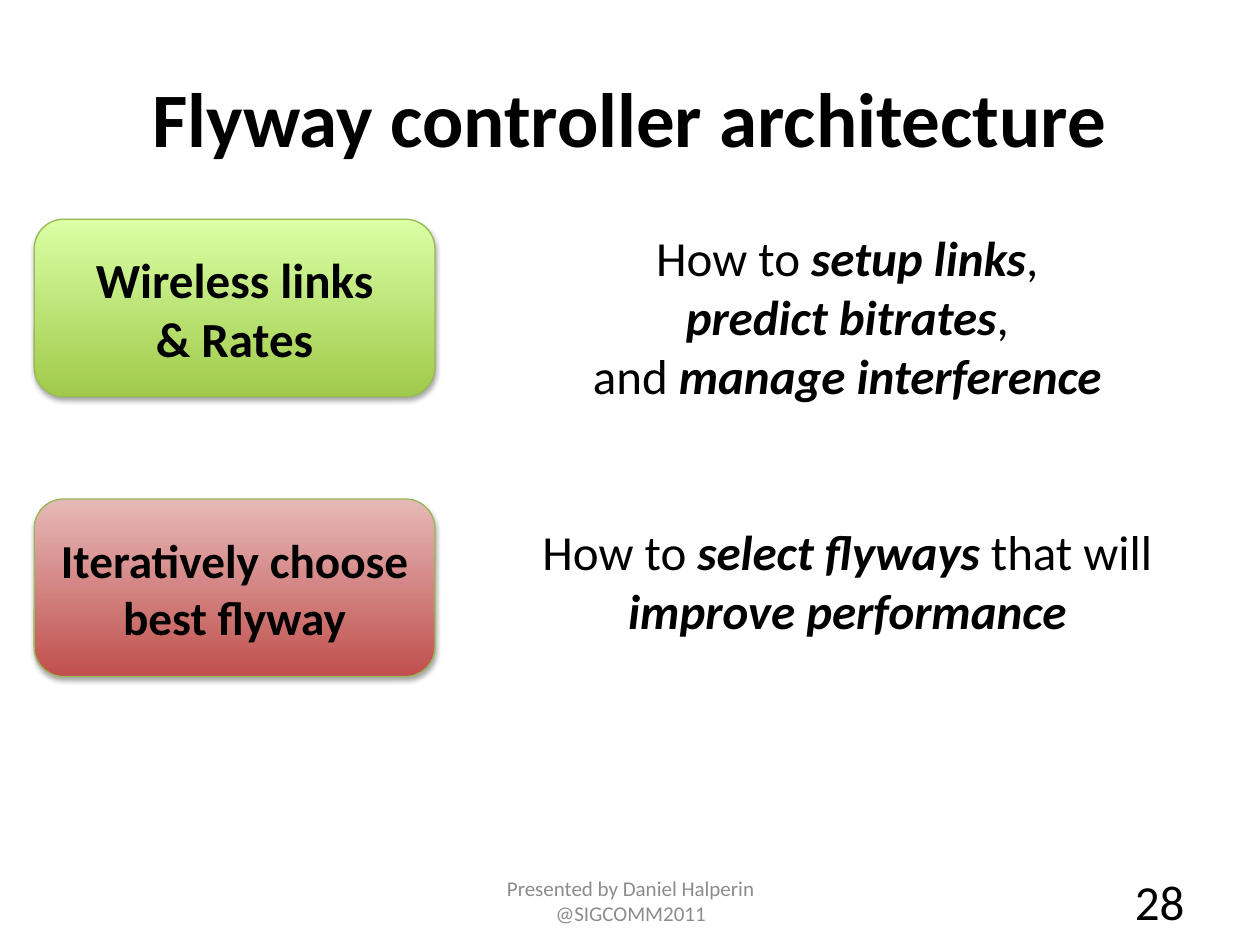
from lxml import etree
from pptx import Presentation
from pptx.dml.color import RGBColor
from pptx.enum.shapes import MSO_SHAPE as SHAPE
from pptx.enum.text import MSO_ANCHOR as ANCHOR, PP_ALIGN as ALIGN
from pptx.oxml.ns import nsdecls
from pptx.util import Cm, Pt

BLACK = RGBColor(0, 0, 0)
GREY = RGBColor(0x8C, 0x8C, 0x8C)
EDGE = RGBColor(0x98, 0xB9, 0x55)
GREENS = RGBColor(0xA0, 0xCA, 0x4A), RGBColor(0xDA, 0xFF, 0xA5)
REDS = RGBColor(0xC0, 0x50, 0x4D), RGBColor(0xE6, 0xB9, 0xB8)

SHADOW = (
    f'<a:effectLst {nsdecls("a")}>'
    '<a:outerShdw blurRad="39370" dist="22860" dir="5400000" rotWithShape="0">'
    '<a:srgbClr val="000000"><a:alpha val="35000"/></a:srgbClr>'
    '</a:outerShdw></a:effectLst>'
)

STEPS = [
    (["Wireless links", "& Rates"], 28, GREENS),
    (["Iteratively choose best flyway"], 27, REDS),
]
QUESTIONS = [
    [[("How to ", False), ("setup links", True), (",", False)],
     [("predict bitrates", True), (",", False)],
     [("and ", False), ("manage interference", True)]],
    [[("How to ", False), ("select flyways ", True), ("that will ", False),
      ("improve performance", True)]],
]


def style(p, size, color=BLACK, bold=None, align=ALIGN.CENTER):
    """Set the alignment and font of a paragraph."""
    p.alignment = align
    p.font.name = "Calibri"
    p.font.size = Pt(size)
    p.font.bold = bold
    p.font.color.rgb = color


def add_frame(s, left, top, width, height, anchor=ANCHOR.MIDDLE):
    """Add a wrapping text box and return its text frame."""
    tf = s.shapes.add_textbox(Cm(left), Cm(top), Cm(width), Cm(height)).text_frame
    tf.word_wrap = True
    tf.vertical_anchor = anchor
    return tf


def add_label(s, box, text, size, **font):
    """Add a one-paragraph text box."""
    p = add_frame(s, *box).paragraphs[0]
    p.text = text
    style(p, size, **font)


def add_step(s, box, lines, size, colors):
    """Add a rounded gradient box with a soft shadow."""
    sp = s.shapes.add_shape(SHAPE.ROUNDED_RECTANGLE, *map(Cm, box))
    sp.fill.gradient()
    sp.fill.gradient_angle = 90
    for stop, color in zip(sp.fill.gradient_stops, colors):
        stop.color.rgb = color
    sp.line.color.rgb = EDGE
    sp.line.width = Pt(0.75)
    sp._element.spPr.append(etree.fromstring(SHADOW))
    tf = sp.text_frame
    tf.word_wrap = True
    tf.vertical_anchor = ANCHOR.MIDDLE
    p = tf.paragraphs[0]
    p.text = "\v".join(lines)
    style(p, size, bold=True)


def add_steps(s, left, top, width, height, pitch):
    """Stack the controller steps at an equal pitch."""
    for i, (lines, size, colors) in enumerate(STEPS):
        add_step(s, (left, top + i * pitch, width, height), lines, size, colors)


def add_questions(s, box):
    """Add the questions, one paragraph for each step."""
    tf = add_frame(s, *box, anchor=ANCHOR.TOP)
    for i, lines in enumerate(QUESTIONS):
        p = tf.add_paragraph() if i else tf.paragraphs[0]
        if i:
            p.space_before = Pt(67)
        style(p, 28)
        for j, runs in enumerate(lines):
            if j:
                p.add_line_break()
            for text, strong in runs:
                r = p.add_run()
                r.text = text
                if strong:
                    r.font.bold = r.font.italic = True


def add_footer(s, top, height):
    """Add the presenter line and the page number."""
    add_label(s, (8.69, top, 8.05, height),
              "Presented by Daniel Halperin @SIGCOMM2011", 12, color=GREY)
    add_label(s, (18.21, top, 5.92, height), "28", 28, align=ALIGN.RIGHT)


def main():
    """Build the slide and save it."""
    prs = Presentation()
    prs.slide_width, prs.slide_height = Cm(25.4), Cm(19.05)
    s = prs.slides.add_slide(prs.slide_layouts[6])
    add_questions(s, (10.41, 4.47, 13.34, 12.57))
    add_label(s, (1.27, 0.76, 22.86, 3.18), "Flyway controller architecture", 44, bold=True)
    add_steps(s, 0.69, 4.42, 8.08, 3.58, 5.64)
    add_footer(s, 17.65, 1.02)
    prs.save("out.pptx")


if __name__ == "__main__":
    main()
